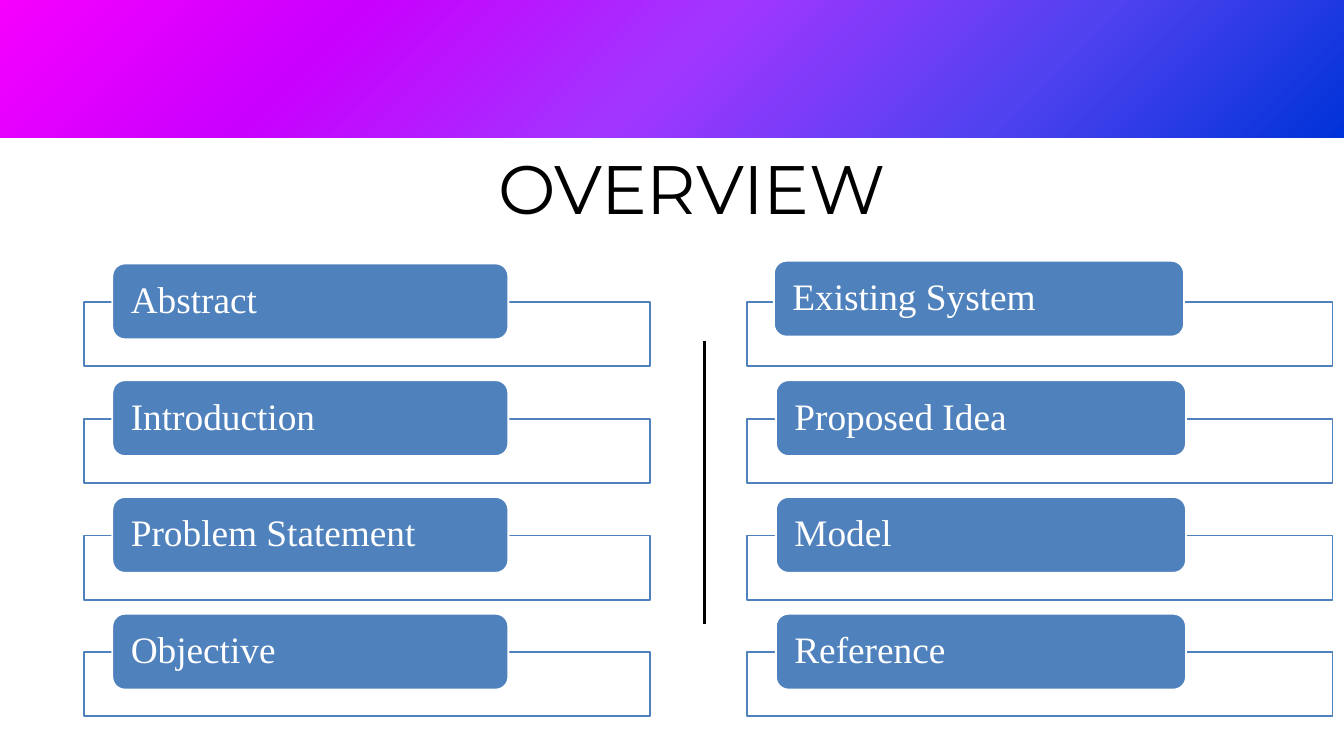
from collections import namedtuple
from copy import deepcopy

from pptx import Presentation
from pptx.dml.color import RGBColor
from pptx.enum.shapes import MSO_CONNECTOR, MSO_SHAPE
from pptx.enum.text import MSO_ANCHOR, MSO_AUTO_SIZE, PP_ALIGN
from pptx.oxml.ns import qn
from pptx.util import Inches, Pt
from lxml.etree import SubElement

WIDTH, HEIGHT = 20, 11.25
BLACK = RGBColor(0x00, 0x00, 0x00)
WHITE = RGBColor(0xFF, 0xFF, 0xFF)
BLUE = RGBColor(0x4F, 0x81, 0xBD)
BANNER_COLORS = [
    RGBColor(0xF6, 0x00, 0xFE),
    RGBColor(0xC9, 0x00, 0xFE),
    RGBColor(0xA1, 0x36, 0xFF),
    RGBColor(0x51, 0x42, 0xF0),
    RGBColor(0x00, 0x33, 0xD9),
]

Box = namedtuple("Box", "left top width height")
BANNER = Box(0, 0, WIDTH, 2.05)
TITLE = Box(7.08, 1.97, 6.43, 1.34)
DIVIDER = Box(10.48, 5.07, 0, 4.21)
LEFT_TOPICS = Box(1.25, 3.92, 8.42, 6.95)
RIGHT_TOPICS = Box(11.11, 3.92, 8.72, 6.95)


def emu(box):
    return [Inches(length) for length in box]


def add_panel(slide, preset, box, fill, outline):
    panel = slide.shapes.add_shape(preset, *emu(box))
    panel.shadow.inherit = False
    panel.fill.solid()
    panel.fill.fore_color.rgb = fill
    panel.line.color.rgb = outline
    panel.line.width = Pt(2)
    return panel


def write(paragraph, text, font, size, color):
    run = paragraph.add_run()
    run.text = text
    run.font.name = font
    run.font.size = Pt(size)
    run.font.color.rgb = color


def add_title(slide, box):
    title = slide.shapes.title
    title.left, title.top, title.width, title.height = emu(box)
    frame = title.text_frame
    frame.margin_left = frame.margin_right = 0
    frame.margin_top = frame.margin_bottom = 0
    frame.vertical_anchor = MSO_ANCHOR.TOP
    frame.auto_size = MSO_AUTO_SIZE.NONE
    heading = frame.paragraphs[0]
    heading.alignment = PP_ALIGN.CENTER
    heading.line_spacing = Pt(102.8)
    write(heading, "OVERVIEW", "Montserrat", 73.4, BLACK)


def add_banner(slide, box):
    banner = slide.shapes.add_shape(MSO_SHAPE.RECTANGLE, *emu(box))
    banner.shadow.inherit = False
    banner.line.fill.background()
    banner.fill.gradient()
    banner.fill.gradient_angle = 315
    stops = banner._element.spPr.find(".//" + qn("a:gsLst"))
    for _ in BANNER_COLORS[2:]:
        stops.append(deepcopy(stops[0]))
    for index, stop in enumerate(banner.fill.gradient_stops):
        stop.color.rgb = BANNER_COLORS[index]
        stop.position = index / (len(BANNER_COLORS) - 1)


def add_divider(slide, box):
    left, top, width, height = emu(box)
    divider = slide.shapes.add_connector(
        MSO_CONNECTOR.STRAIGHT, left, top, left + width, top + height)
    divider.line.color.rgb = BLACK
    divider.line.width = Pt(3)
    SubElement(divider._element.spPr, qn("a:effectLst"))


def add_topic(slide, box, topic, shift_x=0, shift_y=0):
    frame_box = Box(box.left, box.top + 0.33 * box.height,
                    box.width, 0.55 * box.height)
    frame = add_panel(slide, MSO_SHAPE.RECTANGLE, frame_box, WHITE, BLUE)
    white = frame._element.spPr.find(qn("a:solidFill"))[0]
    SubElement(white, qn("a:alpha"), val="90000")

    label_box = Box(box.left + 0.05 * box.width + shift_x, box.top + shift_y,
                    0.7 * box.width, 0.65 * box.height)
    label = add_panel(slide, MSO_SHAPE.ROUNDED_RECTANGLE, label_box, BLUE, WHITE)
    text = label.text_frame
    text.word_wrap = True
    text.vertical_anchor = MSO_ANCHOR.MIDDLE
    text.margin_left = text.margin_right = Inches(0.22)
    text.margin_top = text.margin_bottom = 0
    paragraph = text.paragraphs[0]
    paragraph.alignment = PP_ALIGN.LEFT
    paragraph.line_spacing = 0.9
    write(paragraph, topic, "Times New Roman", 40, WHITE)


def add_topics(slide, box, topics, first_shift=(0, 0)):
    row = box.height / len(topics)
    for index, topic in enumerate(topics):
        topic_box = Box(box.left, box.top + index * row, box.width, row)
        shift = first_shift if index == 0 else (0, 0)
        add_topic(slide, topic_box, topic, *shift)


def main():
    deck = Presentation()
    deck.slide_width, deck.slide_height = Inches(WIDTH), Inches(HEIGHT)
    slide = deck.slides.add_slide(deck.slide_layouts[5])
    add_title(slide, TITLE)
    add_banner(slide, BANNER)
    add_divider(slide, DIVIDER)
    add_topics(slide, LEFT_TOPICS,
               ["Abstract", "Introduction", "Problem Statement", "Objective"])
    add_topics(slide, RIGHT_TOPICS,
               ["Existing System", "Proposed Idea", "Model", "Reference"],
               first_shift=(-0.03, -0.04))
    deck.save("out.pptx")


if __name__ == "__main__":
    main()
